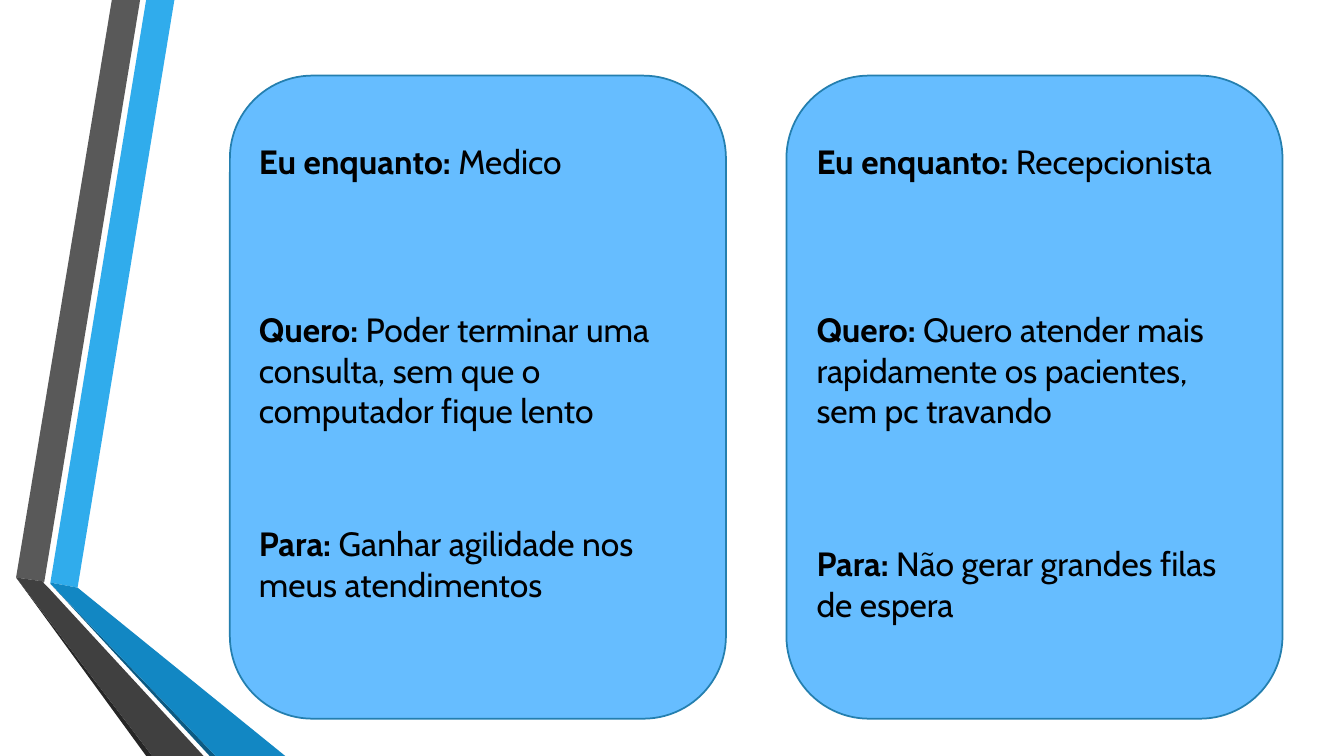
"""Build a slide with two user-story cards beside a folded ribbon."""
from lxml import etree
from pptx import Presentation
from pptx.dml.color import RGBColor
from pptx.enum.shapes import MSO_SHAPE
from pptx.enum.text import MSO_AUTO_SIZE
from pptx.util import Inches, Pt

ROUNDED = MSO_SHAPE.ROUNDED_RECTANGLE
GROW = MSO_AUTO_SIZE.SHAPE_TO_FIT_TEXT

RIBBONS = [
    ("30ACEC", [(0.5, 5.78), (0.77, 5.83), (1.73, 0), (1.45, 0)]),
    ("595959", [(1.39, 0), (1.11, 0), (0.16, 5.73), (0.44, 5.77)]),
    ("262626", [(0.16, 5.73), (1.45, 7.5), (1.51, 7.5)]),
    ("0C5A82", [(0.5, 5.79), (2.08, 7.5), (2.14, 7.5)]),
    ("1287C3", [(0.5, 5.79), (2.14, 7.5), (2.83, 7.5), (0.77, 5.83), (0.5, 5.78)]),
    ("404040", [(2.02, 7.5), (0.48, 5.83), (0.43, 5.78), (0.44, 5.77),
                (0.16, 5.73), (1.51, 7.5)]),
]
CARD_TOP, CARD_W, CARD_H = 0.75, 4.92, 6.38
CARDS = [
    {"left": 2.28, "text_left": 2.47, "text_w": 4.67, "stories": [
        (1.35, 0.5, "Eu enquanto:", " Medico"),
        (3.02, 1.31, "Quero:",
         " Poder terminar uma consulta, sem que o computador fique lento"),
        (5.14, 0.91, "Para: ", "Ganhar agilidade nos meus atendimentos")]},
    {"left": 7.8, "text_left": 8, "text_w": 4.39, "stories": [
        (1.35, 0.5, "Eu enquanto: ", "Recepcionista"),
        (3.02, 1.31, "Quero: ",
         "Quero atender mais rapidamente os pacientes, sem pc travando"),
        (5.34, 0.91, "Para: ", "Não gerar grandes filas de espera")]},
]


def paint(sp, fill, line=None):
    sp.shadow.inherit = False
    sp.fill.solid()
    sp.fill.fore_color.rgb = RGBColor.from_string(fill)
    if line:
        sp.line.color.rgb = RGBColor.from_string(line)
        sp.line.width = Pt(1.25)
    else:
        sp.line.fill.background()


def add_ribbon(s, color, points):
    (x, y), *rest = [(Inches(px), Inches(py)) for px, py in points]
    builder = s.shapes.build_freeform(x, y)
    builder.add_line_segments(rest, close=True)
    paint(builder.convert_to_shape(), color)


def add_story(s, left, top, width, height, label, text):
    box = s.shapes.add_textbox(*map(Inches, (left, top, width, height)))
    tf = box.text_frame
    tf.word_wrap = True
    tf.auto_size = GROW
    p = tf.paragraphs[0]
    for words, bold in ((label, True), (text, False)):
        r = p.add_run()
        r.text = words
        r.font.name = "Cabin"
        r.font.size = Pt(24)
        r.font.bold = bold
        r.font.color.rgb = RGBColor.from_string("000000")


def main():
    prs = Presentation()
    prs.slide_width, prs.slide_height = Inches(13.33), Inches(7.5)
    s = prs.slides.add_slide(prs.slide_layouts[6])
    for color, points in RIBBONS:
        add_ribbon(s, color, points)
    for card in CARDS:
        sp = s.shapes.add_shape(
            ROUNDED, *map(Inches, (card["left"], CARD_TOP, CARD_W, CARD_H)))
        paint(sp, "66BDFF", "247FAF")
        for top, height, label, text in card["stories"]:
            add_story(s, card["text_left"], top, card["text_w"], height, label, text)
    prs.save("out.pptx")


if __name__ == "__main__":
    main()
